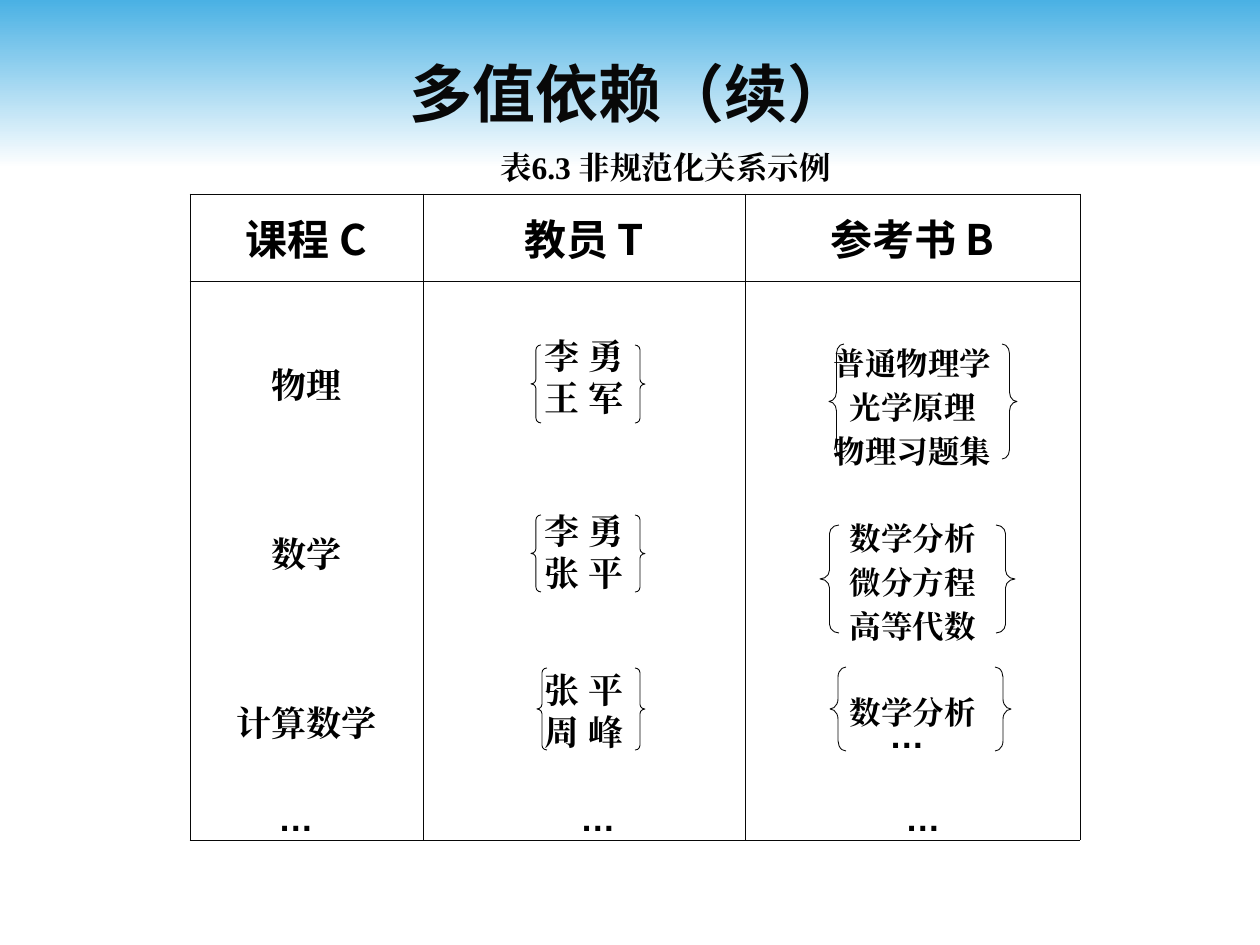
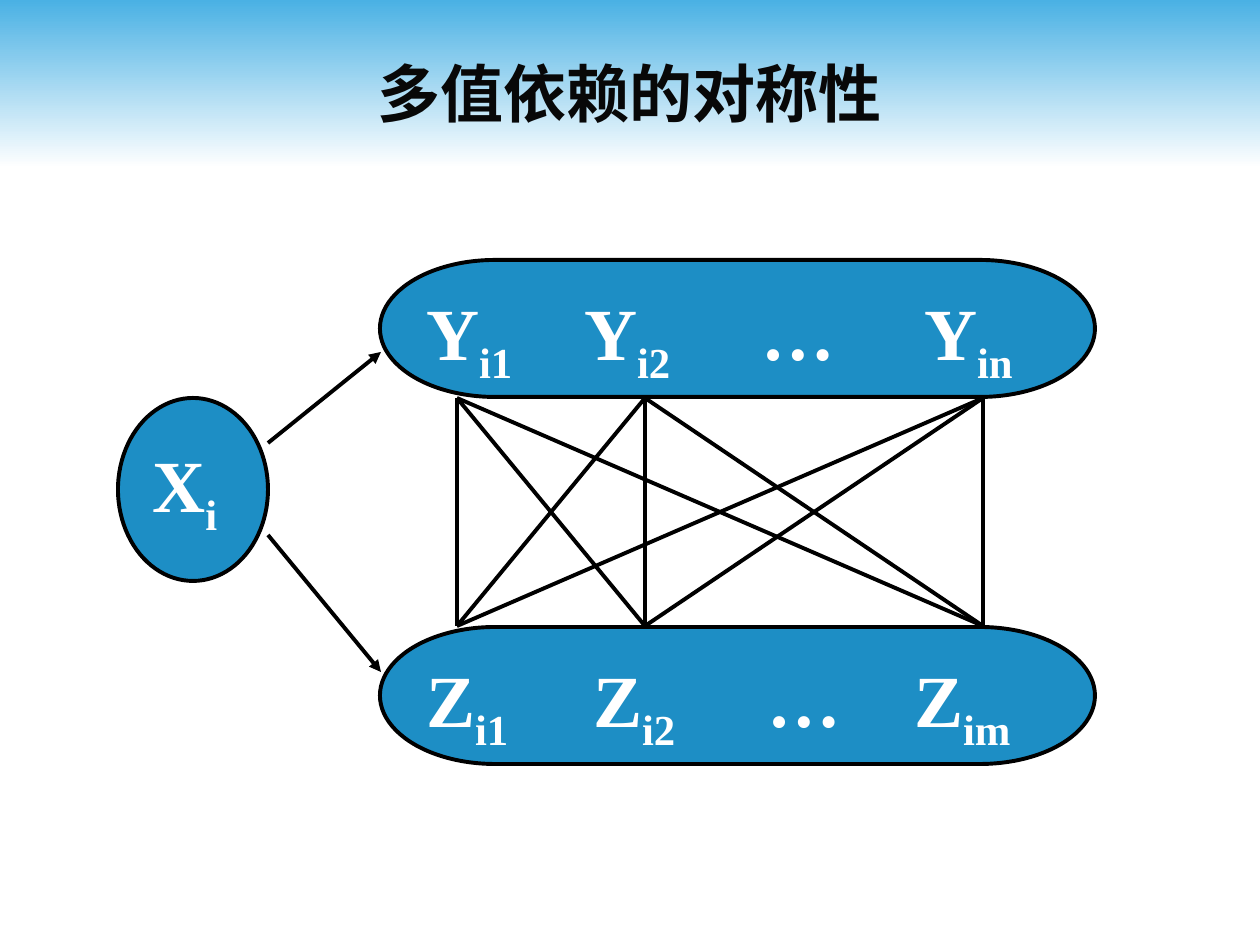
from itertools import product

from lxml import etree
from pptx import Presentation
from pptx.dml.color import RGBColor
from pptx.enum.shapes import MSO_CONNECTOR, MSO_SHAPE
from pptx.enum.text import MSO_ANCHOR, PP_ALIGN
from pptx.oxml.ns import qn
from pptx.util import Emu, Pt

SCALE = 914400 / 126
WIDTH, HEIGHT = 1260, 945
SANS, SERIF, ARIAL = "Noto Sans CJK SC", "Times New Roman", "Arial"
INK, BLACK, WHITE, BLUE, SKY = "080808", "000000", "FFFFFF", "1D8EC5", "4AB1E4"
CENTER, LEFT = PP_ALIGN.CENTER, PP_ALIGN.LEFT
MIDDLE, TOP = MSO_ANCHOR.MIDDLE, MSO_ANCHOR.TOP
RECT, OVAL = MSO_SHAPE.RECTANGLE, MSO_SHAPE.OVAL
BRACE, TERMINATOR = MSO_SHAPE.LEFT_BRACE, MSO_SHAPE.FLOWCHART_TERMINATOR
STRAIGHT = MSO_CONNECTOR.STRAIGHT

COLUMNS = [("课程 C", 233), ("教员 T", 322), ("参考书 B", 335)]
ROW_HEIGHTS = [87, 559]
COURSES = [("物理", 191), ("数学", 360), ("计算数学", 528)]
TEACHERS = [
    (["李 勇", "王 军"], 183, (341, 151, 114, 78)),
    (["李 勇", "张 平"], 358, (341, 321, 114, 77)),
    (["张 平", "周 峰"], 517, (347, 474, 108, 82)),
]
BOOKS = [
    (["普通物理学", "光学原理", "物理习题集"], 210, (639, 150, 188, 115), 15, 0.63),
    (["数学分析", "微分方程", "高等代数"], 385, (630, 331, 195, 108), 19, 0.46),
    (["数学分析"], 515, (640, 473, 181, 84), 16, 0.63),
]
ELLIPSES = [(76, 596), (378, 596), (703, 596), (687, 513)]


def px(n):
    return Emu(round(n * SCALE))


def box(x, y, w, h):
    return px(x), px(y), px(w), px(h)


def rgb(color):
    return RGBColor.from_string(color)


def set_font(p, name, size, color=BLACK):
    p.font.name, p.font.size, p.font.bold = name, Pt(size), True
    p.font.color.rgb = rgb(color)
    def_rpr = p._p.pPr.find(qn("a:defRPr"))
    etree.SubElement(def_rpr, qn("a:ea")).set("typeface", name)


def add_text(s, x, y, w, h, lines, name, size, color=BLACK,
             align=CENTER, anchor=MIDDLE, spacing=None):
    tf = s.shapes.add_textbox(*box(x, y, w, h)).text_frame
    tf.word_wrap = True
    tf.vertical_anchor = anchor
    for i, line in enumerate(lines):
        p = tf.paragraphs[0] if i == 0 else tf.add_paragraph()
        p.text = line
        p.alignment = align
        if spacing:
            p.line_spacing = Pt(spacing)
        set_font(p, name, size, color)


def add_shape(s, kind, x, y, w, h, fill=None, line=None, weight=2.25):
    sp = s.shapes.add_shape(kind, *box(x, y, w, h))
    sp.shadow.inherit = False
    if fill:
        sp.fill.solid()
        sp.fill.fore_color.rgb = rgb(fill)
    else:
        sp.fill.background()
    if line:
        sp.line.color.rgb = rgb(line)
        sp.line.width = Pt(weight)
    else:
        sp.line.fill.background()
    return sp


def add_line(s, x1, y1, x2, y2, arrow=False):
    c = s.shapes.add_connector(STRAIGHT, px(x1), px(y1), px(x2), px(y2))
    c.line.color.rgb = rgb(BLACK)
    c.line.width = Pt(2.25)
    sp_pr = c._element.spPr
    if arrow:
        etree.SubElement(sp_pr.find(qn("a:ln")), qn("a:tailEnd")).set("type", "triangle")
    etree.SubElement(sp_pr, qn("a:effectLst"))


def new_slide(prs, title):
    s = prs.slides.add_slide(prs.slide_layouts[6])
    band = add_shape(s, RECT, 0, 0, WIDTH, 168)
    band.fill.gradient()
    band.fill.gradient_angle = 270
    for stop, color in zip(band.fill.gradient_stops, (SKY, WHITE)):
        stop.color.rgb = rgb(color)
    add_text(s, 63, 32, 1134, 120, [title], SANS, 36, INK)
    return s


def border_cell(cell):
    cell.fill.background()
    tc_pr = cell._tc.get_or_add_tcPr()
    for i, side in enumerate(("lnL", "lnR", "lnT", "lnB")):
        ln = etree.Element(qn("a:" + side), w="6350")
        fill = etree.SubElement(ln, qn("a:solidFill"))
        etree.SubElement(fill, qn("a:srgbClr")).set("val", INK)
        tc_pr.insert(i, ln)


def add_grid(s, x, y):
    total = sum(w for _, w in COLUMNS)
    frame = s.shapes.add_table(2, 3, *box(x, y, total, sum(ROW_HEIGHTS)))
    table = frame.table
    table.first_row = table.horz_banding = False
    for row, h in zip(table.rows, ROW_HEIGHTS):
        row.height = px(h)
    for i, (head, w) in enumerate(COLUMNS):
        table.columns[i].width = px(w)
        cell = table.cell(0, i)
        cell.vertical_anchor = MIDDLE
        p = cell.text_frame.paragraphs[0]
        p.text = head
        p.alignment = CENTER
        set_font(p, SANS, 24)
        border_cell(cell)
        border_cell(table.cell(1, i))


def add_braces(s, x, y, w, h, depth, bend):
    for left, turn in ((x, 0), (x + w - depth, 180)):
        sp = add_shape(s, BRACE, left, y, depth, h, line=INK, weight=0.5)
        sp.adjustments[0] = bend
        sp.rotation = turn


def add_entry(s, column, x, y, center, lines, size, spacing):
    left = x + sum(w for _, w in COLUMNS[:column])
    h = 50 * len(lines)
    add_text(s, left, y + center - h / 2, COLUMNS[column][1], h,
             lines, SERIF, size, spacing=spacing)


def add_relation(s, x, y):
    add_grid(s, x, y)
    for course, center in COURSES:
        add_entry(s, 0, x, y, center, [course], 20, 24)
    groups = [(1, *g, 10, 0.47, 20, 24) for g in TEACHERS]
    groups += [(2, *g, 18, 25) for g in BOOKS]
    for column, lines, center, (bx, by, bw, bh), depth, bend, size, spacing in groups:
        add_braces(s, x + bx, y + by, bw, bh, depth, bend)
        add_entry(s, column, x, y, center, lines, size, spacing)
    for dx, dy in ELLIPSES:
        add_text(s, x + dx, y + dy, 80, 60, ["…"], ARIAL, 20, align=LEFT, anchor=TOP)


def add_node(s, kind, x, y, w, h, items, tabs=(), top=7):
    sp = add_shape(s, kind, x, y, w, h, BLUE, BLACK)
    tf = sp.text_frame
    tf.vertical_anchor = TOP
    tf.margin_top = px(top)
    p = tf.paragraphs[0]
    p.alignment = LEFT
    if tabs:
        tab_list = etree.SubElement(p._p.get_or_add_pPr(), qn("a:tabLst"))
        for pos in tabs:
            etree.SubElement(tab_list, qn("a:tab"), pos=str(px(pos)), algn="l")
    set_font(p, SERIF, 42, WHITE)
    for i, (base, sub) in enumerate(items):
        p.add_run().text = ("\t" if i else "") + base
        if sub:
            r = p.add_run()
            r.text = sub
            r._r.get_or_add_rPr().set("baseline", "-25000")


def add_symmetry(s, x, y):
    add_node(s, OVAL, x, y + 138, 150, 183, [("X", "i")], top=14)
    rows = [("Y", "n", 0, (158, 335, 498)), ("Z", "m", 367, (167, 341, 488))]
    for name, last, dy, tabs in rows:
        items = [(name, "i1"), (name, "i2"), ("…", ""), (name, "i" + last)]
        add_node(s, TERMINATOR, x + 262, y + dy, 715, 137, items, tabs)
    add_line(s, x + 150, y + 183, x + 263, y + 92, arrow=True)
    add_line(s, x + 150, y + 275, x + 263, y + 412, arrow=True)
    for upper, lower in product((339, 527, 865), repeat=2):
        add_line(s, x + upper, y + 138, x + lower, y + 366)


def main():
    prs = Presentation()
    prs.slide_width, prs.slide_height = px(WIDTH), px(HEIGHT)
    s = new_slide(prs, "多值依赖（续）")
    add_text(s, 314, 120, 703, 94, ["表6.3 非规范化关系示例"], SERIF, 18)
    add_relation(s, 190, 194)
    s = new_slide(prs, "多值依赖的对称性")
    add_symmetry(s, 118, 260)
    prs.save("out.pptx")


if __name__ == "__main__":
    main()
